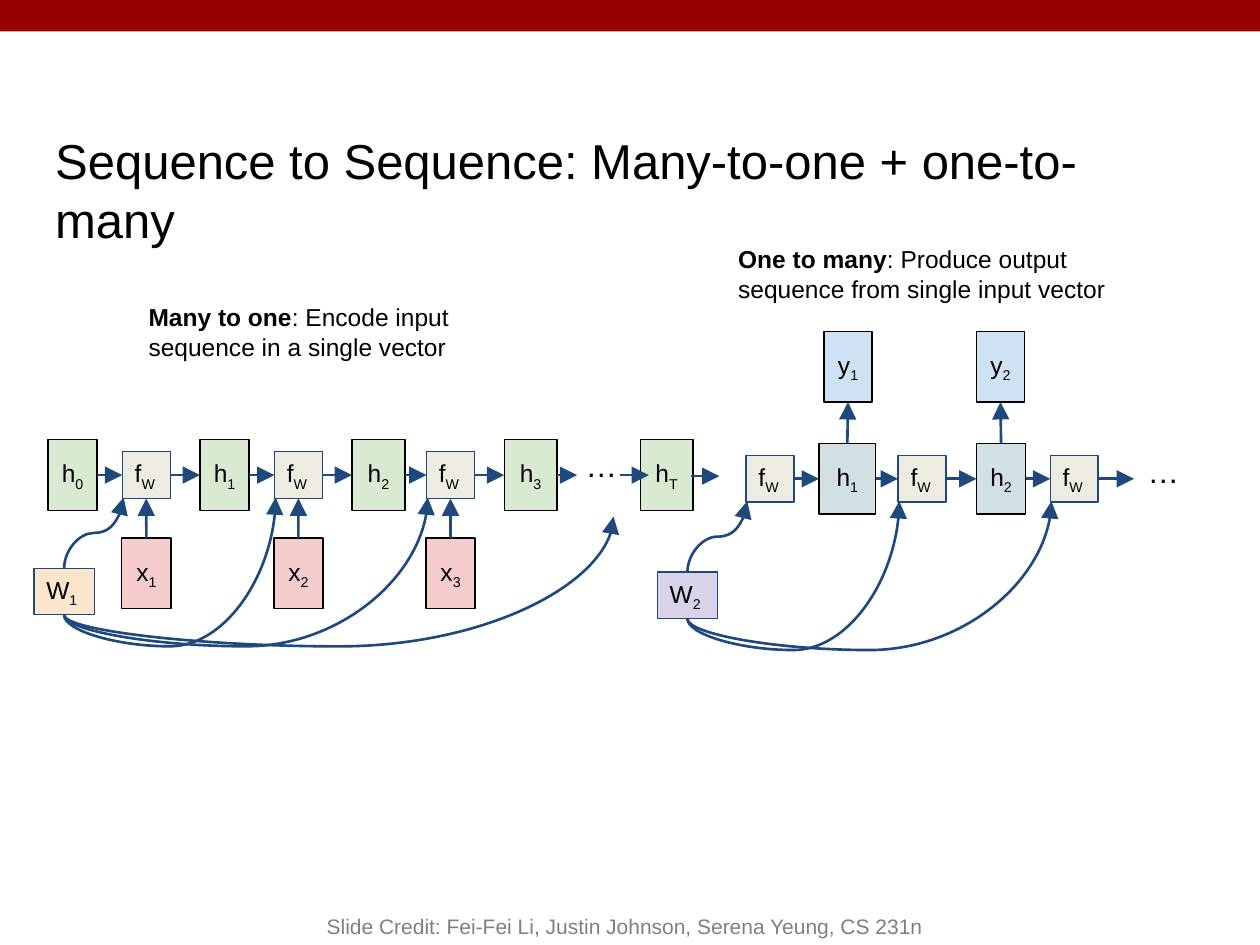
from lxml import etree
from pptx import Presentation
from pptx import util as u
from pptx.dml import color
from pptx.enum import shapes, text
from pptx.oxml import ns

Pt = u.Pt
MID, LEFT, HIGH, LOW = (text.MSO_ANCHOR.MIDDLE, text.PP_ALIGN.LEFT,
                        text.MSO_ANCHOR.TOP, text.MSO_ANCHOR.BOTTOM)
CENTER = text.PP_ALIGN.CENTER
INK, NAVY = "000000", "1F497D"
GREEN, SAND, PINK, BLUE, TEAL = "D9EAD3", "EEECE1", "F4CCCC", "CFE2F3", "D0E0E3"
STEP = 86.9
TOP, BASE = 0, 2
SIDE_L, SIDE_R = 1, 3


def tint(code):
    return color.RGBColor.from_string(code)


def add(node, tag, **attrs):
    return etree.SubElement(node, ns.qn(tag), **attrs)


class Board:
    """Draws styled boxes, labels and arrows on one slide, in points."""

    def __init__(self, slide, font="Arial"):
        self.slide = slide
        self.font = font

    def letter(self, shape, runs, size, hue=INK, align=LEFT, anchor=MID, pad=7.2):
        frame = shape.text_frame
        frame.word_wrap = True
        frame.vertical_anchor = anchor
        frame.margin_left = frame.margin_right = Pt(7.2)
        frame.margin_top = frame.margin_bottom = Pt(pad)
        para = frame.paragraphs[0]
        para.alignment = align
        for words, style in runs:
            run = para.add_run()
            run.text = words
            run.font.name = self.font
            run.font.size = Pt(size)
            run.font.color.rgb = tint(hue)
            run.font.bold = style == "bold"
            if style == "sub":
                run.font._element.set("baseline", "-25000")

    def label(self, x, y, w, h, runs, size, **style):
        box = self.slide.shapes.add_textbox(Pt(x), Pt(y), Pt(w), Pt(h))
        self.letter(box, runs, size, **style)

    def block(self, x, y, w, h, fill, edge=None):
        box = self.slide.shapes.add_shape(
            shapes.MSO_SHAPE.RECTANGLE, Pt(x), Pt(y), Pt(w), Pt(h))
        box.shadow.inherit = False
        box.fill.solid()
        box.fill.fore_color.rgb = tint(fill)
        if edge:
            box.line.color.rgb = tint(edge)
            box.line.width = Pt(0.75)
        else:
            box.line.fill.background()
        return box

    def cell(self, x, mid, w, name, sub, fill, h=40.4, edge=INK, align=CENTER):
        box = self.block(x, mid - h / 2, w, h, fill, edge)
        self.letter(box, [(name, None), (sub, "sub")], 14, align=align)
        return box

    def small(self, x, mid, name, sub, fill=SAND, w=27.4):
        return self.cell(x, mid, w, name, sub, fill, 26.6, NAVY, LEFT)

    def link(self, kind, x1, y1, x2, y2):
        line = self.slide.shapes.add_connector(kind, Pt(x1), Pt(y1), Pt(x2), Pt(y2))
        line.line.color.rgb = tint(NAVY)
        line.line.width = Pt(1.5)
        props = line._element.spPr
        add(props.find(ns.qn("a:ln")), "a:tailEnd", type="triangle", w="lg", len="lg")
        add(props, "a:effectLst")
        return line

    def arrow(self, x1, y1, x2, y2):
        return self.link(shapes.MSO_CONNECTOR.STRAIGHT, x1, y1, x2, y2)

    def join(self, first, out, last, into):
        line = self.arrow(0, 0, 1, 1)
        line.begin_connect(first, out)
        line.end_connect(last, into)

    def curve(self, x1, y1, x2, y2, bend):
        mx, my = (x1 + x2) / 2, (y1 + y2) / 2
        dx, dy = (x2 - x1) / 2, (y1 - y2) / 2
        line = self.link(shapes.MSO_CONNECTOR.CURVE, mx + dy, my + dx, mx - dy, my - dx)
        props = line._element.spPr
        props.find(ns.qn("a:xfrm")).set("rot", "5400000")
        geom = props.find(ns.qn("a:prstGeom"))
        points = geom.find(ns.qn("a:avLst"))
        if points is None:
            points = add(geom, "a:avLst")
        add(points, "a:gd", name="adj1", fmla=f"val {round(bend * 100000)}")

    def chain(self, cells):
        for first, last in zip(cells, cells[1:]):
            self.join(first, SIDE_R, last, SIDE_L)

    def weight(self, x, mid, sub, fill, ends):
        self.small(x, mid + 66.6, "W", sub, fill, 34.6)
        stem, roof, floor = x + 17.2, mid + 53.3, mid + 79.9
        (near, level), *rest = ends
        self.curve(stem, roof, near, level, 0.5)
        for far, level in rest:
            self.curve(stem, floor, far, level, -18 / (floor - level))


def encode(board, mid=271.5):
    wides = [28.1, 28.1, 30.2, 30.2]
    states = [board.cell(27.4 + STEP * i, mid, w, "h", str(i), GREEN)
              for i, w in enumerate(wides)]
    steps = [board.small(69.9 + STEP * i, mid, "f", "W") for i in range(3)]
    for i, step in enumerate(steps):
        item = board.cell(69.6 + STEP * i, 327.6, 28.1, "x", str(i + 1), PINK)
        board.join(item, TOP, step, BASE)
    board.chain([states[0]] + [box for pair in zip(steps, states[1:]) for box in pair])
    board.arrow(318.2, mid, 329.8, mid)
    board.label(327.6, 247.7, 44.6, 47.5, [("…", None)], 18, anchor=HIGH)
    ends = [(70.6 + STEP * i, mid + 12.8) for i in range(3)] + [(350.6, 295.2)]
    board.weight(19.4, mid, "1", "FCE5CD", ends)
    board.cell(365.8, mid, 30.2, "h", "T", GREEN)
    board.arrow(354.2, mid, 370.8, mid)
    board.arrow(394.6, 272.1, 411.1, 272.1)


def decode(board, mid=273.6):
    steps = [board.small(426.3 + STEP * i, mid, "f", "W") for i in range(3)]
    states = []
    for sub, x, w, top in (("1", 468, 32.4, 470.9), ("2", 558, 28.1, 558)):
        state = board.cell(x, mid, w, "h", sub, TEAL)
        out = board.cell(top, 209.6, 27.4, "y", sub, BLUE)
        board.join(state, TOP, out, BASE)
        states.append(state)
    board.chain([box for pair in zip(steps, states) for box in pair] + [steps[-1]])
    board.arrow(627.4, mid, 648, mid)
    board.label(648.7, 251.3, 44.6, 47.5, [("…", None)], 18, anchor=HIGH)
    ends = [(427 + STEP * i, mid + 12.8) for i in range(3)]
    board.weight(375.6, mid, "2", "D9D2E9", ends)


def main():
    deck = Presentation()
    deck.slide_width, deck.slide_height = Pt(720), Pt(540)
    board = Board(deck.slides.add_slide(deck.slide_layouts[6]))
    board.block(0, 0, 720, 18, "990000")
    board.label(24.5, 74.2, 664.6, 67.7,
                [("Sequence to Sequence: Many-to-one + one-to-many", None)], 28)
    heads = (
        (77.8, 165.6, "Many to one", ": Encode input sequence in a single vector"),
        (414.7, 132.5, "One to many",
         ": Produce output sequence from single input vector"),
    )
    for x, y, head, rest in heads:
        board.label(x, y, 232.6, 51.8, [(head, "bold"), (rest, None)], 14, anchor=HIGH)
    decode(board)
    encode(board)
    board.label(144, 504, 426.2, 36,
                [("Slide Credit: Fei-Fei Li, Justin Johnson, Serena Yeung, CS 231n", None)],
                12, hue="808080", align=CENTER, anchor=LOW, pad=3.6)
    deck.save("out.pptx")


if __name__ == "__main__":
    main()
